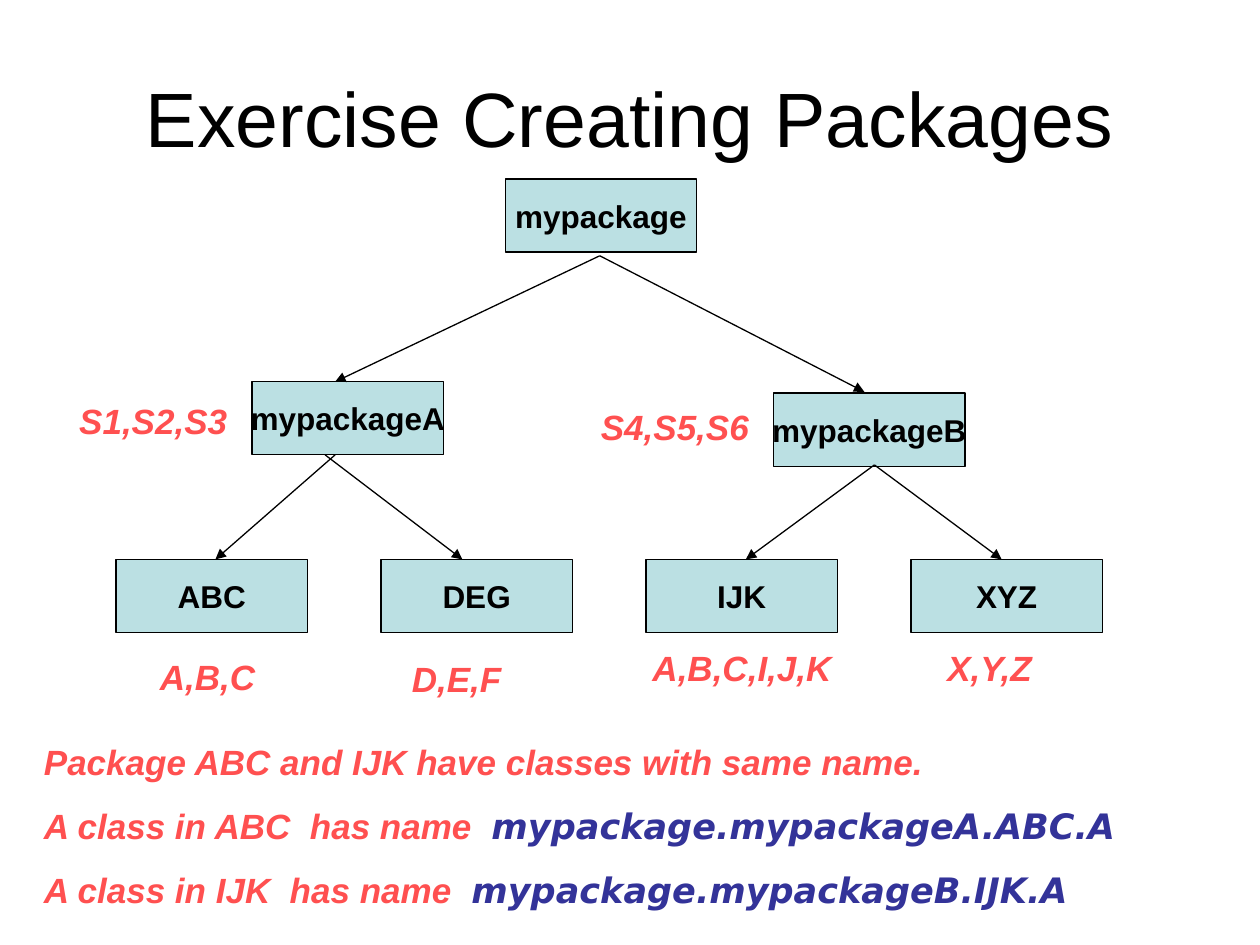
from lxml import etree
from pptx import Presentation
from pptx.dml.color import RGBColor
from pptx.enum.shapes import MSO_CONNECTOR, MSO_SHAPE
from pptx.enum.text import MSO_ANCHOR, PP_ALIGN
from pptx.oxml.ns import qn
from pptx.util import Inches, Pt

BLACK = RGBColor(0x00, 0x00, 0x00)
PALE_TEAL = RGBColor(0xBB, 0xE0, 0xE3)
CORAL = RGBColor(0xFF, 0x50, 0x50)
INDIGO = RGBColor(0x33, 0x33, 0x99)
RECTANGLE = MSO_SHAPE.RECTANGLE
STRAIGHT = MSO_CONNECTOR.STRAIGHT
MIDDLE, TOP = MSO_ANCHOR.MIDDLE, MSO_ANCHOR.TOP
CENTER, LEFT = PP_ALIGN.CENTER, PP_ALIGN.LEFT

NODE_WIDTH, NODE_HEIGHT = 15.2, 5.8
LEAF_LEFT, LEAF_STEP, LEAF_TOP = 9.2, 21.03, 44.4


def write(frame, paragraphs, font="Arial", size=20, color=CORAL, bold=True,
          italic=True, align=LEFT, anchor=TOP, before=0, wrap=True):
    frame.word_wrap = wrap
    frame.vertical_anchor = anchor
    for index, spans in enumerate(paragraphs):
        para = frame.paragraphs[0] if index == 0 else frame.add_paragraph()
        para.alignment = align
        para.space_before = Pt(before)
        for text, changes in spans:
            span = para.add_run()
            span.text = text
            span.font.name = changes.get("font", font)
            span.font.size = Pt(size)
            span.font.bold = bold
            span.font.italic = italic
            span.font.color.rgb = changes.get("color", color)


class PackageSlide:
    """Draws a package tree on a grid of 100 columns and 75 rows."""

    def __init__(self, deck):
        self.slide = deck.slides.add_slide(deck.slide_layouts[6])
        self.column = deck.slide_width / 100
        self.row = deck.slide_height / 75
        self.line_width = Pt(0.75)

    def place(self, left, top, width, height):
        return (round(left * self.column), round(top * self.row),
                round(width * self.column), round(height * self.row))

    def text(self, paragraphs, left, top, width, height, **style):
        box = self.slide.shapes.add_textbox(*self.place(left, top, width, height))
        write(box.text_frame, paragraphs, **style)

    def label(self, text, left, top, width):
        self.text([[(text, {})]], left, top, width, 4.4, before=12.5)

    def node(self, name, left, top):
        box = self.slide.shapes.add_shape(
            RECTANGLE, *self.place(left, top, NODE_WIDTH, NODE_HEIGHT))
        box.shadow.inherit = False
        box.fill.solid()
        box.fill.fore_color.rgb = PALE_TEAL
        box.line.color.rgb = BLACK
        box.line.width = self.line_width
        write(box.text_frame, [[(name, {})]], size=18, color=BLACK,
              italic=False, align=CENTER, anchor=MIDDLE, wrap=False)

    def arrow(self, start, end):
        arrow = self.slide.shapes.add_connector(
            STRAIGHT, *self.place(*start, *end))
        arrow.line.color.rgb = BLACK
        arrow.line.width = self.line_width
        etree.SubElement(arrow.line._get_or_add_ln(), qn("a:tailEnd"), type="triangle")
        etree.SubElement(arrow._element.spPr, qn("a:effectLst"))


def main():
    deck = Presentation()
    deck.slide_width, deck.slide_height = Inches(10), Inches(7.5)
    page = PackageSlide(deck)

    page.text([[("Exercise Creating Packages", {})]], 5, 3, 90, 12.5, size=44,
              color=BLACK, bold=False, italic=False, align=CENTER, anchor=MIDDLE)

    for name, left, top in (("mypackage", 40.1, 14.2),
                            ("mypackageB", 61.4, 31.2),
                            ("mypackageA", 20, 30.3)):
        page.node(name, left, top)
    for index, name in enumerate(("ABC", "DEG", "IJK", "XYZ")):
        page.node(name, LEAF_LEFT + index * LEAF_STEP, LEAF_TOP)

    root, package_b = (47.6, 20.3), (69.4, 36.9)
    for start, end in (((26.6, 36.1), (17.1, LEAF_TOP)),
                       ((25.8, 36.1), (36.7, LEAF_TOP)),
                       (root, (26.6, 30.3)),
                       (root, (68.6, 31.1)),
                       (package_b, (59.2, LEAF_TOP)),
                       (package_b, (79.5, LEAF_TOP))):
        page.arrow(start, end)

    for text, left, top, width in (("S1,S2,S3", 5.3, 31.2, 14.2),
                                   ("S4,S5,S6", 46.7, 31.7, 14.2),
                                   ("A,B,C", 11.7, 51.5, 10.8),
                                   ("D,E,F", 31.7, 51.7, 10.8),
                                   ("A,B,C,I,J,K", 50.8, 50.8, 17.5),
                                   ("X,Y,Z", 74.2, 50.8, 10.8)):
        page.label(text, left, top, width)

    code = {"font": "DejaVu Sans", "color": INDIGO}
    page.text([
        [("Package ABC and IJK have classes with same name.", {})],
        [("A class in ABC  has name  ", {}), ("mypackage.mypackageA.ABC.A", code)],
        [("A class in IJK  has name  ", {}), ("mypackage.mypackageB.IJK.A", code)],
    ], 2.5, 58.3, 97.5, 14.5, before=12.5)

    deck.save("out.pptx")


if __name__ == "__main__":
    main()
